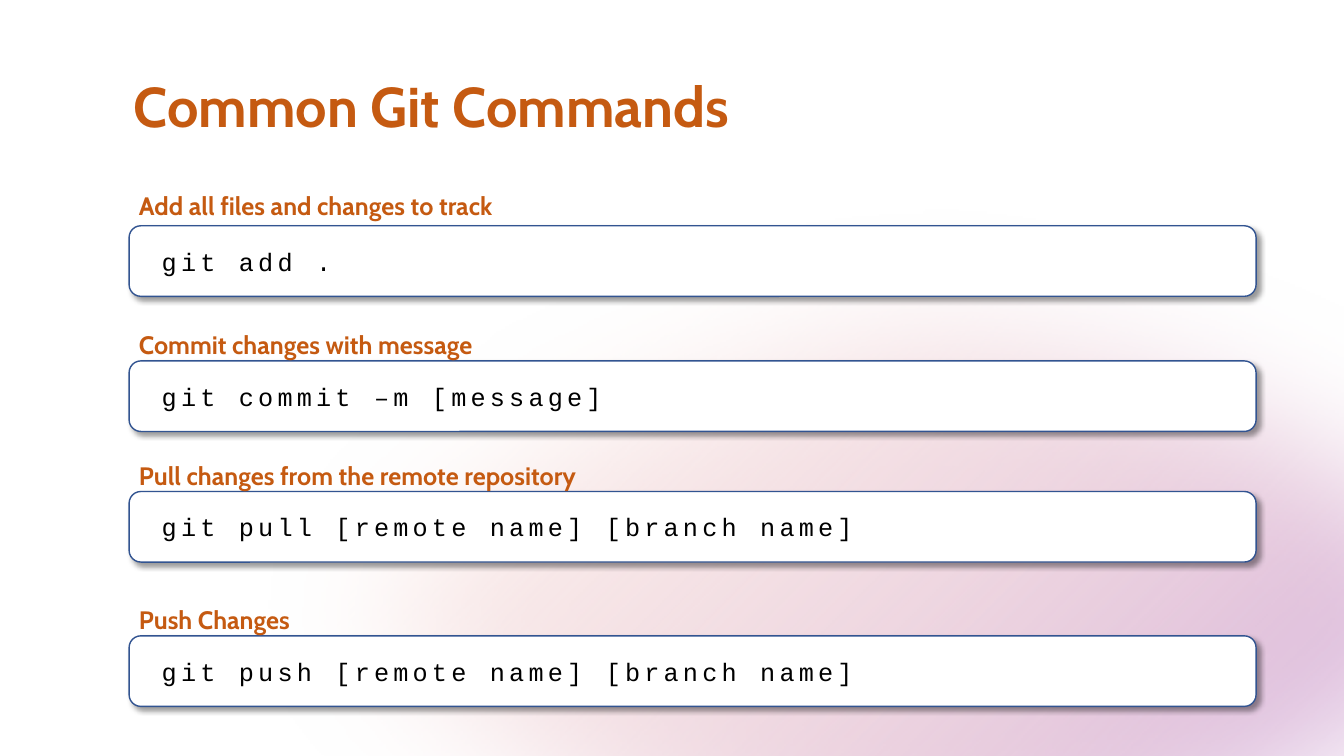
import pptx
import pptx.util
import pptx.dml.color
import pptx.enum.shapes
import pptx.enum.text
import pptx.oxml
import pptx.oxml.ns

Pt = pptx.util.Pt
SHAPE = pptx.enum.shapes.MSO_SHAPE
ALIGN = pptx.enum.text.PP_ALIGN
ANCHOR = pptx.enum.text.MSO_ANCHOR

# Content: label, command, top of label, top of box
TITLE = "Common Git Commands"
STEPS = [
    ("Add all files and changes to track", " git add .", 132.5, 161.3),
    ("Commit changes with message", " git commit –m [message]", 231.5, 257.8),
    ("Pull changes from the remote repository",
     " git pull [remote name] [branch name]", 324.9, 351.1),
    ("Push Changes", " git push [remote name] [branch name]", 427.9, 454.2),
]


class Theme:
    accent, ink, paper, edge = "C55A11", "000000", "FFFFFF", "325491"
    peach, lilac = "FEC9A8", "BF95DF"
    head, body = "Cabin", "Courier New"
    big, small = 40, 18


LEFT, WIDE, HIGH = 92.2, 805, 50.4
LABEL_WIDE, LABEL_HIGH = 662.4, 29.1


def color(code):
    return pptx.dml.color.RGBColor.from_string(code)


def xml(text):
    space = pptx.oxml.ns.nsdecls("a")
    return pptx.oxml.parse_xml(text.replace(">", f" {space}>", 1))


def write(shape, text, font=Theme.head, size=Theme.small, ink=Theme.accent,
          bold=False, align=ALIGN.LEFT, anchor=ANCHOR.TOP, gap=0):
    frame = shape.text_frame
    frame.word_wrap = True
    frame.auto_size = pptx.enum.text.MSO_AUTO_SIZE.NONE
    frame.vertical_anchor = anchor
    para = frame.paragraphs[0]
    para.alignment = align
    para.line_spacing = 1.0
    run = para.add_run()
    run.text = text
    run.font.name, run.font.size = font, Pt(size)
    run.font.bold = bold
    run.font.color.rgb = color(ink)
    if gap:
        run.font._element.set("spc", str(gap * 100))


def outline(shape):
    shape.line.color.rgb = color(Theme.edge)
    shape.line.width = Pt(1)


def effect(shape, text):
    shape.shadow.inherit = False
    holder = shape._element.spPr.find(pptx.oxml.ns.qn("a:effectLst"))
    holder.append(xml(text))


def add_glow(slide):
    glow = slide.shapes.add_shape(
        SHAPE.OVAL, Pt(133.9), Pt(129.6), Pt(1047.6), Pt(606.2))
    outline(glow)
    fill = xml(
        '<a:gradFill rotWithShape="1"><a:gsLst>'
        f'<a:gs pos="0"><a:srgbClr val="{Theme.peach}"><a:alpha val="0"/></a:srgbClr></a:gs>'
        f'<a:gs pos="100000"><a:srgbClr val="{Theme.lilac}"/></a:gs>'
        '</a:gsLst><a:lin ang="2700000" scaled="0"/></a:gradFill>')
    glow._element.spPr.find(pptx.oxml.ns.qn("a:prstGeom")).addnext(fill)
    effect(glow, f'<a:softEdge rad="{Pt(100)}"></a:softEdge>')


def add_step(slide, label, code, label_top, box_top):
    group = slide.shapes.add_group_shape()
    box = group.shapes.add_shape(
        SHAPE.ROUNDED_RECTANGLE, Pt(LEFT), Pt(box_top), Pt(WIDE), Pt(HIGH))
    box.fill.solid()
    box.fill.fore_color.rgb = color(Theme.paper)
    outline(box)
    effect(box,
           f'<a:outerShdw blurRad="{Pt(4)}" dist="{Pt(3)}" dir="2700000" algn="tl" rotWithShape="0">'
           f'<a:srgbClr val="{Theme.ink}"><a:alpha val="40000"/></a:srgbClr></a:outerShdw>')
    write(box, code, font=Theme.body, ink=Theme.ink, anchor=ANCHOR.MIDDLE, gap=3)
    note = group.shapes.add_textbox(
        Pt(LEFT), Pt(label_top), Pt(LABEL_WIDE), Pt(LABEL_HIGH))
    write(note, label, bold=True)


def main():
    deck = pptx.Presentation()
    deck.slide_width, deck.slide_height = Pt(960), Pt(540)
    slide = deck.slides.add_slide(deck.slide_layouts[5])

    # Soft background glow
    add_glow(slide)

    # Title
    title = slide.shapes.title
    title.left, title.top = Pt(54), Pt(47.5)
    title.width, title.height = Pt(508.3), Pt(55.4)
    write(title, TITLE, size=Theme.big, bold=True, align=ALIGN.CENTER)

    # Labelled commands
    for step in STEPS:
        add_step(slide, *step)

    deck.save("out.pptx")


if __name__ == "__main__":
    main()
